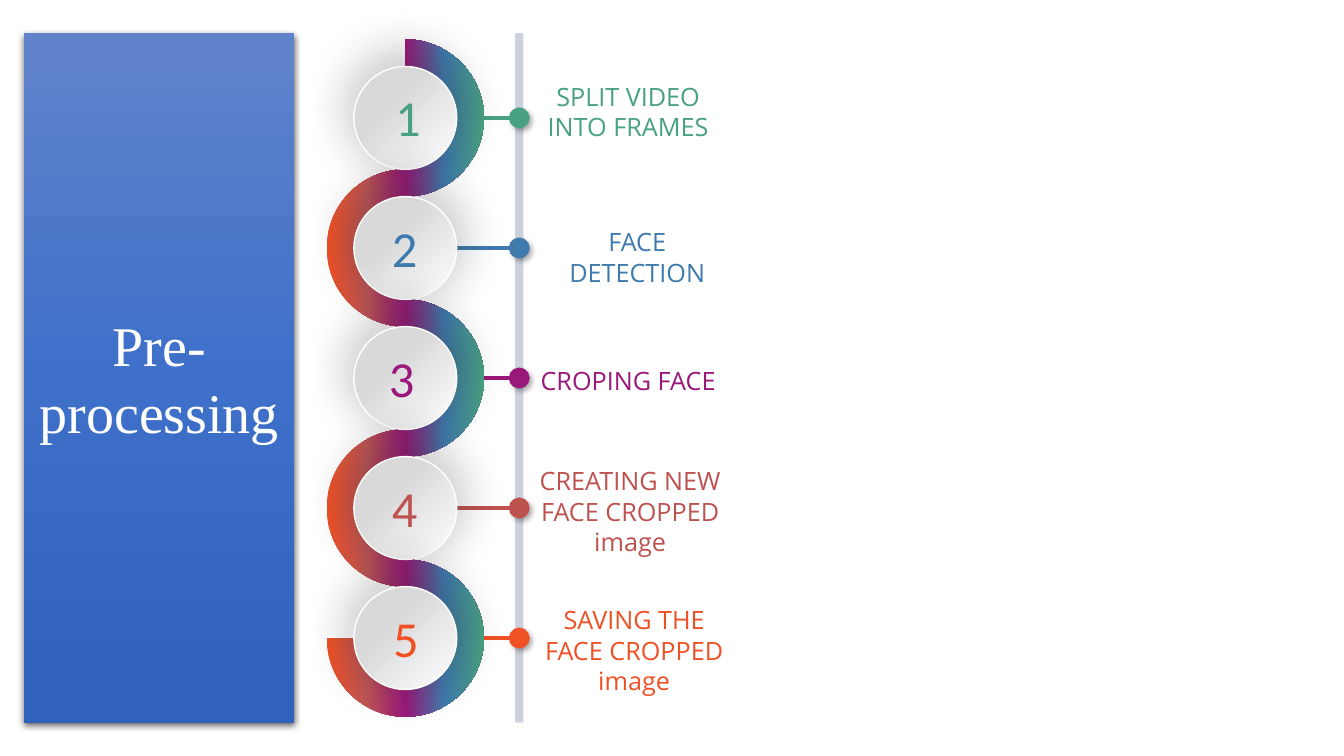
from lxml.etree import SubElement
from pptx import Presentation
from pptx.dml.color import RGBColor
from pptx.enum.shapes import MSO_CONNECTOR, MSO_SHAPE
from pptx.enum.text import MSO_ANCHOR, MSO_AUTO_SIZE, PP_ALIGN
from pptx.oxml.ns import qn
from pptx.util import Inches, Pt

COLORS = {
    "white": "FFFFFF", "spine": "CBD1DD", "disc": "DAD9DA", "black": "000000", "halo": "262626",
    "green": "48A180", "blue": "3E7AAC", "purple": "9A187A", "red": "BE524F", "orange": "EF5024",
    "band_red": "BF5555", "panel_top": "6183CB", "panel_mid": "3E70CA", "panel_low": "3062BB",
}
STEPS = [
    ("SPLIT VIDEO INTO FRAMES", "green", 3.81, 5.15, 0.76, 0.71),
    ("FACE DETECTION", "blue", 3.78, 5.24, 2.2, 0.4),
    ("CROPING FACE", "purple", 3.75, 5.15, 3.58, 0.4),
    ("CREATING NEW FACE CROPPED image", "red", 3.78, 5.17, 4.57, 1.31),
    ("SAVING THE FACE CROPPED image", "orange", 3.79, 5.21, 5.95, 1.31),
]
FIRST_Y, OUTER, INNER = 0.84, 0.78, 0.51
PITCH = OUTER + INNER
AXIS_X, SPINE_X = 0.78, 1.91
ARC = 0.55


def rgb(name):
    """Return the named colour."""
    return RGBColor.from_string(COLORS[name])


def add_xml(parent, tag, **attrs):
    """Append a DrawingML element with the given attributes."""
    return SubElement(parent, qn(f"a:{tag}"), {k: str(v) for k, v in attrs.items()})


def add_color(parent, name, alpha=100):
    """Append a colour with an opacity in percent."""
    color = add_xml(parent, "srgbClr", val=COLORS[name])
    if alpha < 100:
        add_xml(color, "alpha", val=alpha * 1000)


def set_gradient(sp, stops, angle):
    """Fill a shape that has no fill yet with a linear gradient."""
    grad = add_xml(sp._element.spPr, "gradFill", rotWithShape=1)
    stop_list = add_xml(grad, "gsLst")
    for pos, name in stops:
        add_color(add_xml(stop_list, "gs", pos=pos * 1000), name)
    add_xml(grad, "lin", ang=angle * 60000, scaled=0)


def set_shadow(sp, name, alpha, blur, dist, angle, scale=100):
    """Give a shape an outer shadow, scaled in percent."""
    effects = add_xml(sp._element.spPr, "effectLst")
    shadow = add_xml(effects, "outerShdw", blurRad=Pt(blur), dist=Pt(dist), dir=angle * 60000,
                     sx=scale * 1000, sy=scale * 1000, algn="b", rotWithShape=0)
    add_color(shadow, name, alpha)


def format_text(tf, text, font, size, color):
    """Write one centred paragraph in the given font."""
    tf.word_wrap = True
    tf.text = text
    p = tf.paragraphs[0]
    p.alignment = PP_ALIGN.CENTER
    for name, value in {"name": font, "size": Pt(size), "bold": False}.items():
        setattr(p.runs[0].font, name, value)
    p.runs[0].font.color.rgb = rgb(color)


def add_text(slide, box, *style):
    """Add a text box with one styled paragraph."""
    format_text(slide.shapes.add_textbox(*map(Inches, box)).text_frame, *style)


def add_ellipse(slide, x, y, radius):
    """Add a circle around a centre point."""
    return slide.shapes.add_shape(MSO_SHAPE.OVAL, Inches(x - radius), Inches(y - radius),
                                  Inches(2 * radius), Inches(2 * radius))


def add_title_panel(slide, left, top, width, height):
    """Turn the title placeholder into the gradient side panel."""
    sp = slide.shapes.title
    for name, value in {"left": left, "top": top, "width": width, "height": height}.items():
        setattr(sp, name, Inches(value))
    geom = add_xml(sp._element.spPr, "prstGeom", prst="roundRect")
    add_xml(add_xml(geom, "avLst"), "gd", name="adj", fmla="val 1400")
    set_gradient(sp, [(0, "panel_top"), (50, "panel_mid"), (100, "panel_low")], 90)
    set_shadow(sp, "black", 63, 4.5, 1.5, 90)
    sp.text_frame.auto_size = MSO_AUTO_SIZE.NONE
    sp.text_frame.vertical_anchor = MSO_ANCHOR.MIDDLE
    format_text(sp.text_frame, "Pre-processing", "Times New Roman", 40, "white")


def band_edge(x, y, radii):
    """List the quarter points along one edge of the winding band."""
    points = [(Inches(x), Inches(y - radii[0]))]
    for i in range(len(STEPS)):
        radius = radii[i % 2]
        side = radius if i % 2 == 0 else -radius
        row = y + i * PITCH
        points += [(Inches(x + side), Inches(row)), (Inches(x), Inches(row + radius))]
    return points + [(Inches(x - side), Inches(row))]


def round_arcs(sp, corner):
    """Turn each line of a freeform into a quarter arc, except the one after the corner."""
    path = sp._element.spPr.find(".//" + qn("a:path"))
    nodes = [node for node in path if node.find(qn("a:pt")) is not None]
    points = [tuple(int(node[0].get(k)) for k in "xy") for node in nodes]
    axis = points[0][0]
    for i, ((x0, y0), (x1, y1)) in enumerate(zip(points, points[1:])):
        if i == corner:
            continue
        dx, dy = round(ARC * (x1 - x0)), round(ARC * (y1 - y0))
        if x0 == axis:
            controls = [(x0 + dx, y0), (x1, y1 - dy)]
        else:
            controls = [(x0, y0 + dy), (x1 - dx, y1)]
        curve = add_xml(path, "cubicBezTo")
        for px, py in controls + [(x1, y1)]:
            add_xml(curve, "pt", x=px, y=py)
        path.replace(nodes[i + 1], curve)


def add_band(slide, x, y):
    """Draw the winding gradient band."""
    edge = band_edge(x, y, (OUTER, INNER))
    points = edge + band_edge(x, y, (INNER, OUTER))[::-1]
    builder = slide.shapes.build_freeform(*points[0])
    builder.add_line_segments(points[1:], close=True)
    sp = builder.convert_to_shape()
    round_arcs(sp, len(edge) - 1)
    set_gradient(sp, [(0, "orange"), (25, "band_red"), (50, "purple"),
                      (75, "blue"), (100, "green")], 0)
    sp.line.fill.background()
    sp.shadow.inherit = False


def add_spine(slide, x, y, height):
    """Draw the vertical bar that holds the dots."""
    sp = slide.shapes.add_shape(MSO_SHAPE.ROUNDED_RECTANGLE, Inches(x - 0.04), Inches(y),
                                Inches(0.08), Inches(height))
    sp.fill.solid()
    sp.fill.fore_color.rgb = rgb("spine")
    sp.line.fill.background()
    sp.shadow.inherit = False


def add_pointer(slide, start_x, end_x, y, color):
    """Draw a dot on the spine and the line that leads to it."""
    dot = add_ellipse(slide, end_x, y, 0.1)
    add_color(add_xml(dot._element.spPr, "solidFill"), "spine", 85)
    dot.line.fill.background()
    set_shadow(dot, "black", 40, 4, 3, 45)
    line = slide.shapes.add_connector(MSO_CONNECTOR.STRAIGHT, Inches(start_x), Inches(y),
                                      Inches(end_x), Inches(y))
    line.line.color.rgb = rgb(color)
    line.line.width = Pt(3)
    add_xml(line.line._get_or_add_ln(), "tailEnd", type="oval", w="lg", len="lg")
    add_xml(line._element.spPr, "effectLst")


def add_disc(slide, x, y):
    """Draw the pale disc behind a step number."""
    sp = add_ellipse(slide, x, y, 0.51)
    set_gradient(sp, [(36, "disc"), (100, "white")], 45)
    sp.line.color.rgb = rgb("white")
    sp.line.width = Pt(1)
    set_shadow(sp, "halo", 21, 30, 0, 45, 120)


def add_timeline(slide, left, top, height):
    """Place the band, spine, discs, numbers and labels of the steps."""
    x, y, spine = left + AXIS_X, top + FIRST_Y, left + SPINE_X
    rows = [y + i * PITCH for i in range(len(STEPS))]
    add_band(slide, x, y)
    add_spine(slide, spine, top, height)
    for i, (row, step) in enumerate(zip(rows, STEPS)):
        add_pointer(slide, x + (INNER if i % 2 else OUTER), spine, row, step[1])
    for row in rows:
        add_disc(slide, x, row)
    for i, (text, color, num_x, label_x, label_y, label_h) in enumerate(STEPS):
        add_text(slide, (num_x, rows[i] - 0.36, 0.47, 0.71), str(i + 1), "Calibri", 36, color)
        add_text(slide, (label_x, label_y, 2.16, label_h), text, "Open Sans", 18, color)


def main():
    """Build and save the slide."""
    prs = Presentation()
    prs.slide_width, prs.slide_height = Inches(13.33), Inches(7.5)
    slide = prs.slides.add_slide(prs.slide_layouts[5])
    add_title_panel(slide, 0.24, 0.33, 2.68, 6.84)
    add_timeline(slide, 3.24, 0.33, 6.84)
    prs.save("out.pptx")


if __name__ == "__main__":
    main()
